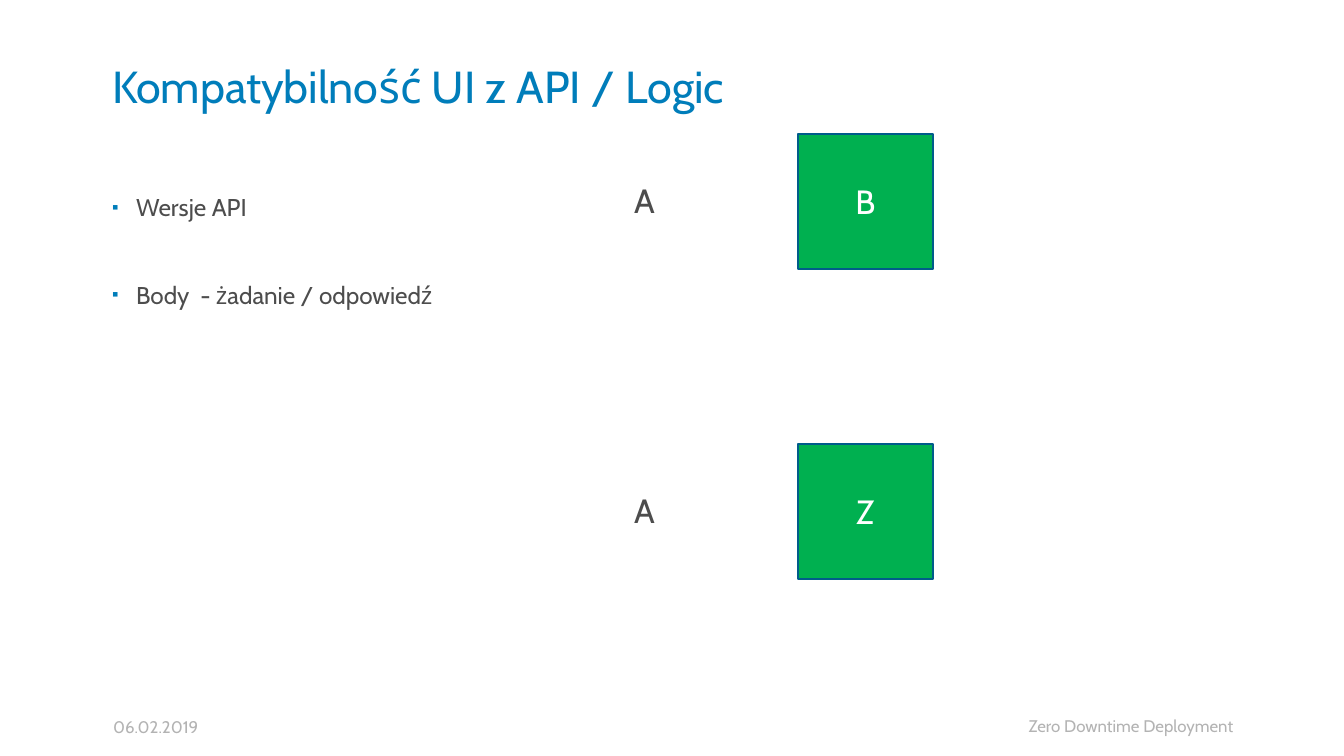
from lxml.etree import SubElement
from pptx import Presentation
from pptx.dml.color import RGBColor as RGB
from pptx.enum.shapes import MSO_SHAPE as SHAPE
from pptx.enum.text import MSO_ANCHOR as ANCHOR, MSO_AUTO_SIZE as AUTO, PP_ALIGN as ALIGN
from pptx.oxml.ns import qn
from pptx.util import Pt

PX = 914400 / 134.4
COLORS = {
    "title": "007DBA",
    "text": "4D4D4D",
    "footer": "B3B3B3",
    "box": "00B050",
    "outline": "005C8A",
    "white": "FFFFFF",
}
FRAME = {
    "margin_left": 0,
    "margin_top": 0,
    "margin_right": 0,
    "margin_bottom": 0,
    "word_wrap": True,
    "auto_size": AUTO.NONE,
    "vertical_anchor": ANCHOR.MIDDLE,
}


def px(*lengths):
    return [round(length * PX) for length in lengths]


def write(shape, lines, size, color, align=ALIGN.LEFT, spacing=1.0, **frame_changes):
    frame = shape.text_frame
    for name, value in {**FRAME, **frame_changes}.items():
        setattr(frame, name, value)
    frame.text = "\n".join(lines)
    layout = {"alignment": align, "line_spacing": spacing, "space_before": Pt(0), "space_after": Pt(0)}
    for paragraph in frame.paragraphs:
        for name, value in layout.items():
            setattr(paragraph, name, value)
        font = paragraph.runs[0].font
        for name, value in {"name": "Cabin", "size": Pt(size), "bold": False}.items():
            setattr(font, name, value)
        font.color.rgb = RGB.from_string(COLORS[color])


deck = Presentation()
deck.slide_width, deck.slide_height = px(1344, 756)
slide = deck.slides.add_slide(deck.slide_layouts[1])
shapes = slide.shapes

heading = shapes.title
heading.left, heading.top, heading.width, heading.height = px(112, 60, 1122, 52)
write(heading, ["Kompatybilność UI z API / Logic"], 24, "title", vertical_anchor=ANCHOR.BOTTOM)

topics = slide.placeholders[1]
topics.left, topics.top, topics.width, topics.height = px(112, 134, 1122, 560)
write(topics, ["Wersje API", "Body  - żadanie / odpowiedź"], 13, "text",
      spacing=3.0, vertical_anchor=ANCHOR.TOP)
indent = px(24)[0]
for topic in topics.text_frame.paragraphs:
    props = topic._p.get_or_add_pPr()
    props.set("marL", str(indent))
    props.set("indent", str(-indent))
    bullet_color = SubElement(props, qn("a:buClr"))
    SubElement(bullet_color, qn("a:srgbClr"), val=COLORS["title"])
    SubElement(props, qn("a:buSzPct"), val="75000")
    SubElement(props, qn("a:buChar"), char="▪")

for words, place, align in [
    ("Zero Downtime Deployment", (968, 695, 265, 61), ALIGN.RIGHT),
    ("06.02.2019", (113, 698, 813, 58), ALIGN.LEFT),
]:
    footer = shapes.add_textbox(*px(*place))
    write(footer, [words], 9, "footer", align)

for version, top in [("B", 134), ("Z", 444)]:
    box = shapes.add_shape(SHAPE.RECTANGLE, *px(798, top, 135, 135))
    box.shadow.inherit = False
    box.fill.solid()
    box.fill.fore_color.rgb = RGB.from_string(COLORS["box"])
    box.line.color.rgb = RGB.from_string(COLORS["outline"])
    box.line.width = Pt(0.85)
    write(box, [version], 18, "white", ALIGN.CENTER)

    client = shapes.add_textbox(*px(634, top + 30, 32, 32))
    write(client, ["A"], 18, "text", spacing=1.4, word_wrap=False, vertical_anchor=ANCHOR.TOP)

deck.save("out.pptx")
